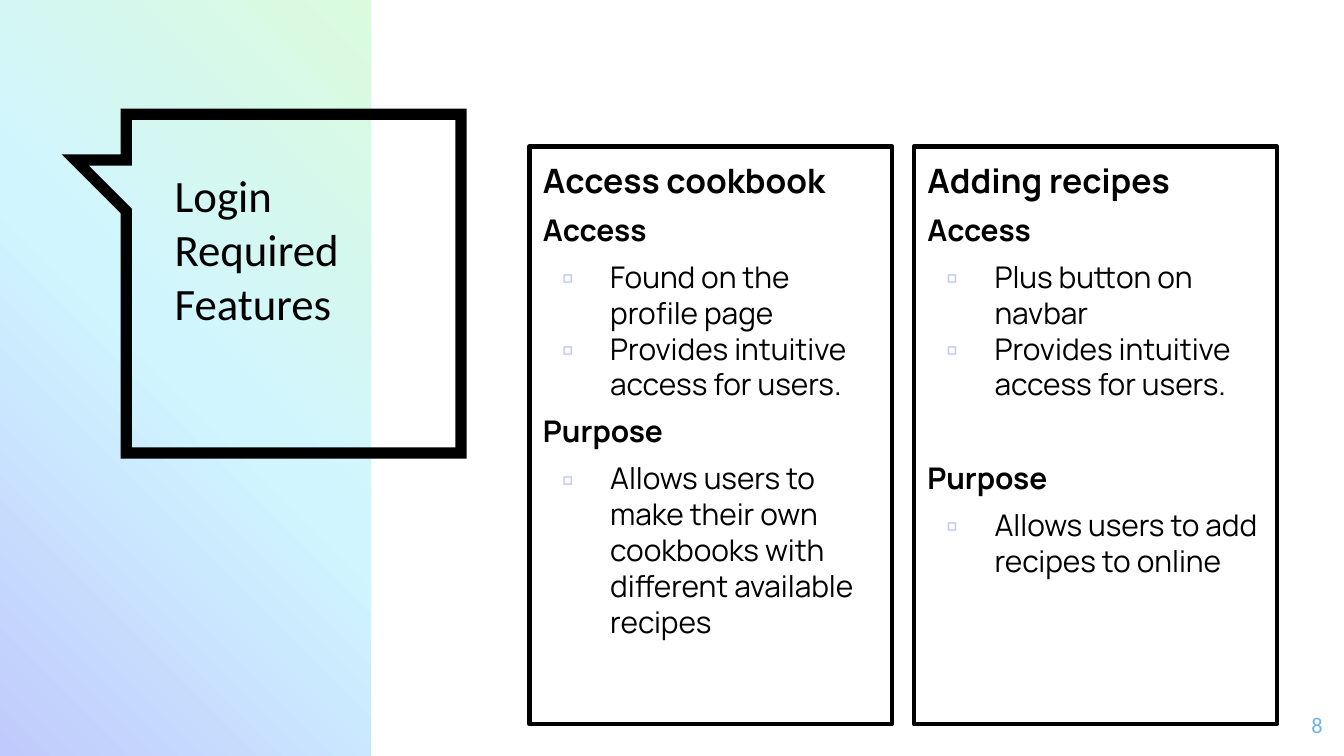
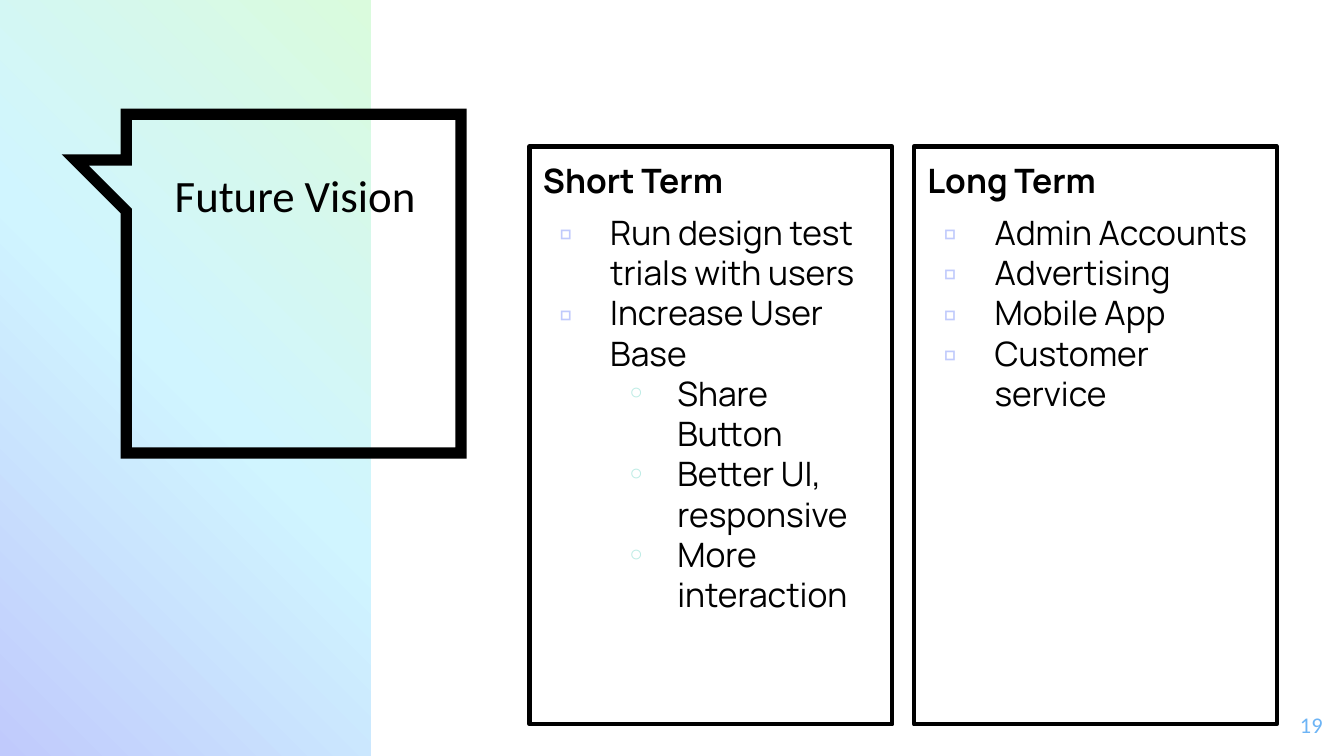
from copy import deepcopy
from lxml.etree import SubElement
from pptx import Presentation
from pptx.dml.color import RGBColor
from pptx.enum.shapes import MSO_SHAPE
from pptx.enum.text import MSO_ANCHOR, MSO_AUTO_SIZE, PP_ALIGN
from pptx.oxml.ns import qn
from pptx.util import Inches, Pt

INK, BLUE, LILAC, MINT = "000000", "6DB4F5", "C0CAFC", "BDECE5"
FADE = [(0, LILAC), (0.5, "D0F5FF"), (1, "DAFBDD")]
MARKS = [("▫", LILAC), ("◦", MINT)]
HEAD = -1
SLIDES = [
    ("8", ["Login", "Required Features"], 16, 0.36, [
        [("Access cookbook", HEAD, 0), ("Access", HEAD, 6),
         ("Found on the profile page", 0, 6),
         ("Provides intuitive access for users.", 0, 0),
         ("Purpose", HEAD, 6),
         ("Allows users to make their own cookbooks with different available recipes", 0, 6)],
        [("Adding recipes", HEAD, 0), ("Access", HEAD, 6),
         ("Plus button on navbar", 0, 6),
         ("Provides intuitive access for users.", 0, 0),
         ("Purpose", HEAD, 31),
         ("Allows users to add recipes to online", 0, 6)]]),
    ("19", ["Future Vision"], 18, 0.38, [
        [("Short Term", HEAD, 0),
         ("Run design test trials with users", 0, 6),
         ("Increase User Base", 0, 0),
         ("Share Button", 1, 0), ("Better UI, responsive", 1, 0),
         ("More interaction", 1, 0)],
        [("Long Term", HEAD, 0), ("Admin Accounts", 0, 6),
         ("Advertising", 0, 0), ("Mobile App", 0, 0),
         ("Customer service", 0, 0)]]),
]


def tint(target, code):
    target.rgb = RGBColor.from_string(code)


def write(shape, text, first=False, size=18, face="Manrope", color=INK, bold=False,
          before=0, align=PP_ALIGN.LEFT, level=HEAD, hang=0):
    frame = shape.text_frame
    if first:
        frame.word_wrap = True
        frame.auto_size = MSO_AUTO_SIZE.NONE
        frame.vertical_anchor = MSO_ANCHOR.TOP
        frame.margin_left = frame.margin_right = Inches(0.1)
        frame.margin_top = frame.margin_bottom = Inches(0.1)
    para = frame.paragraphs[0] if first else frame.add_paragraph()
    props = para._p.get_or_add_pPr()
    props.set("marL", str(Inches(0.5 * (level + 1))))
    props.set("indent", str(-Inches(hang)))
    if level == HEAD:
        SubElement(props, qn("a:buNone"))
    else:
        mark, shade = MARKS[level]
        para.level = level
        SubElement(SubElement(props, qn("a:buClr")), qn("a:srgbClr"), val=shade)
        SubElement(props, qn("a:buFont"), typeface=face)
        SubElement(props, qn("a:buChar"), char=mark)
    para.alignment = align
    para.space_before = Pt(before)
    run = para.add_run()
    run.text = text
    run.font.size, run.font.name, run.font.bold = Pt(size), face, bold
    tint(run.font.color, color)


deck = Presentation()
deck.slide_width, deck.slide_height = Inches(10), Inches(10) * 9 // 16
layout = deck.slide_layouts[3]

for order, (number, title, size, hang, cards) in enumerate(SLIDES):
    slide = deck.slides.add_slide(layout)

    if order == 0:
        band = slide.shapes.add_shape(MSO_SHAPE.RECTANGLE, 0, 0, Inches(2.76), deck.slide_height)
        band.shadow.inherit = False
        band.line.fill.background()
        band.fill.gradient()
        band.fill.gradient_angle = 45
        stops = band._element.spPr.find(".//" + qn("a:gsLst"))
        stops.insert(1, deepcopy(stops[0]))
        for stop, (place, code) in zip(band.fill.gradient_stops, FADE):
            stop.position = place
            tint(stop.color, code)

        pen = slide.shapes.build_freeform(94, 85, scale=Inches(0.01))
        pen.add_line_segments([(343, 85), (343, 337), (94, 337), (94, 157),
                               (56, 119), (94, 119)], close=True)
        bubble = pen.convert_to_shape()
        bubble.shadow.inherit = False
        bubble.fill.background()
        bubble.line.width = Pt(6)
        tint(bubble.line.color, INK)
        SubElement(bubble.line._ln, qn("a:miter"), lim="800000")
        for spot, shape in enumerate([band, bubble]):
            layout.shapes._spTree.insert(2 + spot, shape._element)

    head = slide.shapes.title
    head.left, head.top, head.width, head.height = map(Inches, (1.2, 1.15, 2.01, 2.09))
    for row, text in enumerate(title):
        write(head, text, first=row == 0, size=24, face="Calibri")

    for col, lines in enumerate(cards):
        card = slide.placeholders[col + 1]
        card.left, card.top = Inches(3.94 + 2.86 * col), Inches(1.09)
        card.width, card.height = Inches(2.7), Inches(4.3)
        card.line.width = Pt(2.25)
        tint(card.line.color, INK)
        for row, (text, level, before) in enumerate(lines):
            write(card, text, first=row == 0, size=18 if row == 0 else size,
                  bold=level == HEAD, before=before, level=level,
                  hang=0 if level == HEAD else hang)

    page = slide.shapes.add_textbox(Inches(9.34), Inches(5.19), Inches(0.6), Inches(0.43))
    write(page, number, first=True, size=12, face="Calibri", color=BLUE, align=PP_ALIGN.RIGHT)

deck.save("out.pptx")
